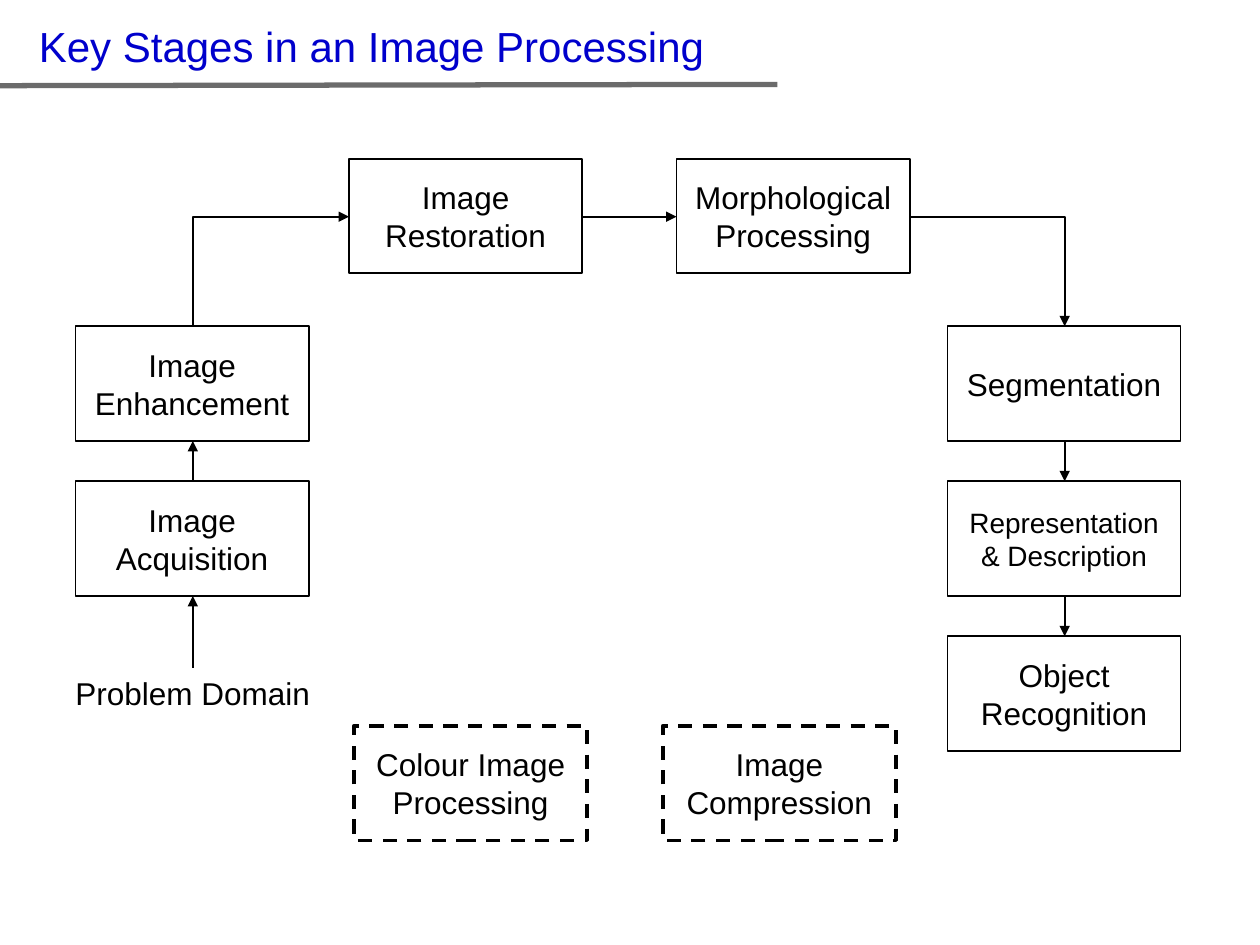
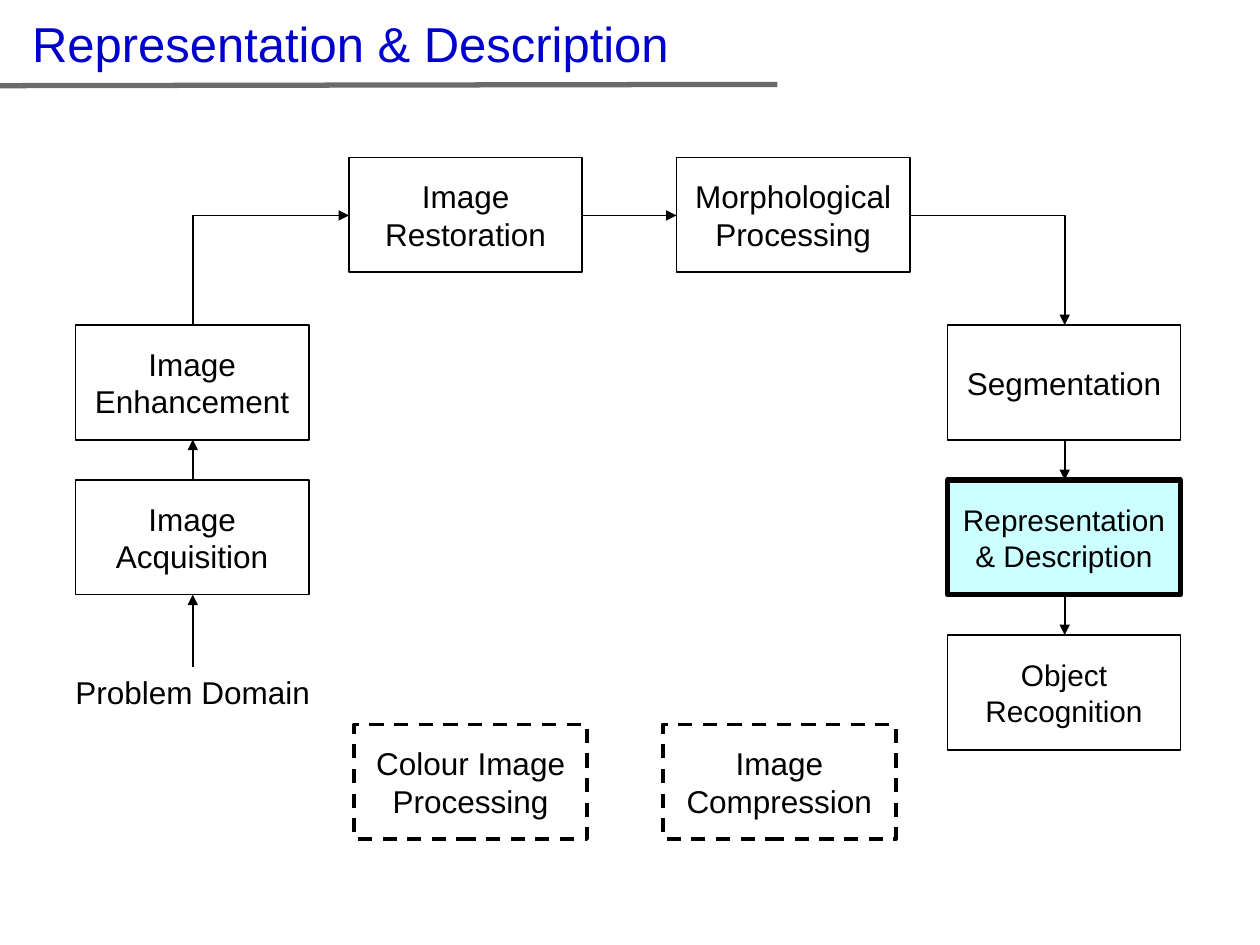
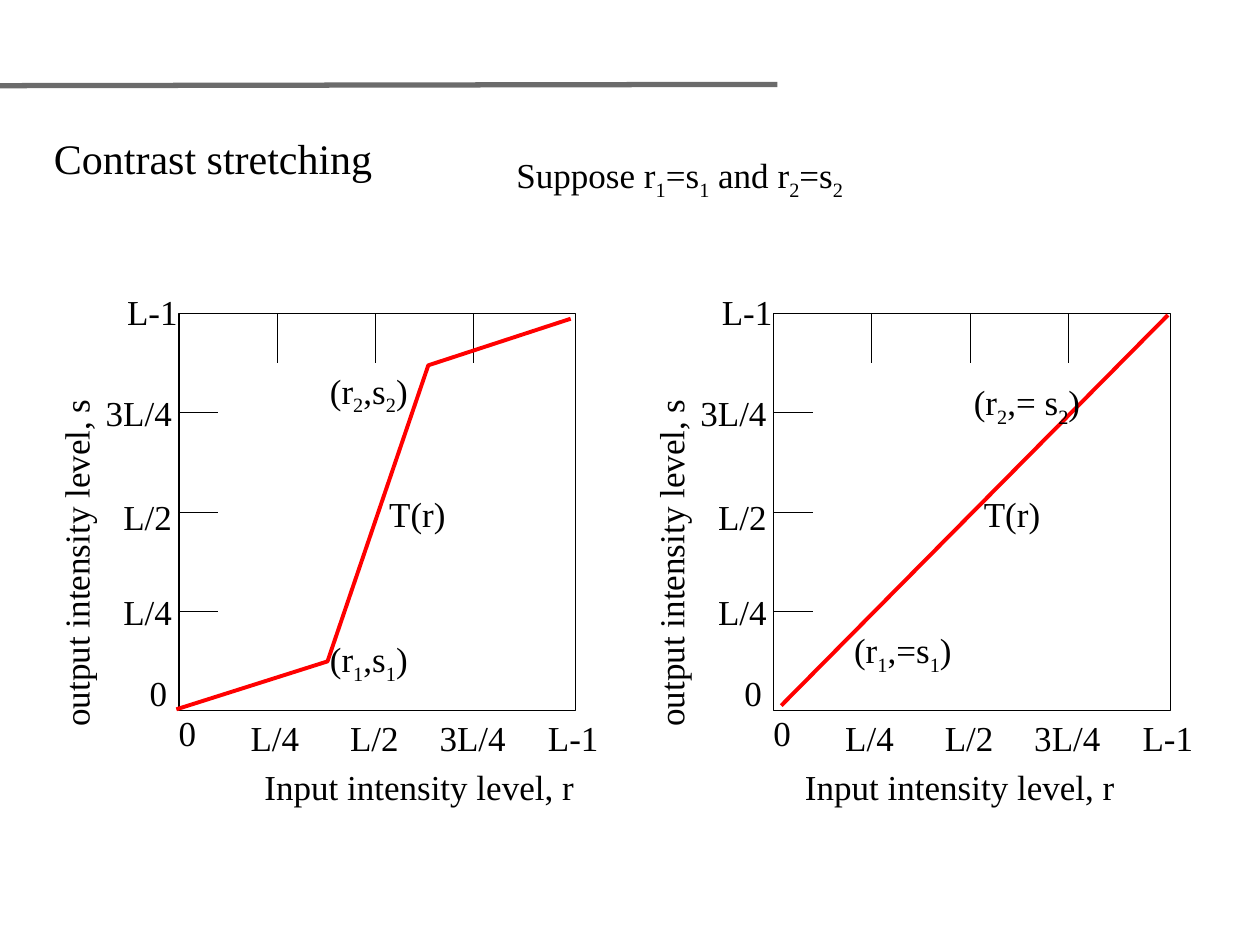
from pptx import Presentation
from pptx.dml.color import RGBColor
from pptx.enum.dml import MSO_LINE
from pptx.enum.shapes import MSO_CONNECTOR, MSO_SHAPE
from pptx.enum.text import MSO_ANCHOR, MSO_AUTO_SIZE, PP_ALIGN
from pptx.oxml.ns import qn
from pptx.util import Inches, Pt
from lxml.etree import SubElement

BLACK = RGBColor(0x00, 0x00, 0x00)
WHITE = RGBColor(0xFF, 0xFF, 0xFF)
TITLE_BLUE = RGBColor(0x00, 0x00, 0xCC)
RULE_GRAY = RGBColor(0x6B, 0x6B, 0x6B)
HIGHLIGHT = RGBColor(0xCC, 0xFF, 0xFF)
CURVE_RED = RGBColor(0xFF, 0x00, 0x00)
SANS = "Arial"
SERIF = "Times New Roman"

BOX_WIDTH, BOX_HEIGHT = 1.85, 0.91
LEFT_COLUMN, RIGHT_COLUMN = 0.6, 7.52
LEFT_AXIS, RIGHT_AXIS = 1.53, 8.45
PLOT_TOP, PLOT_SIZE = 2.49, 3.15
LABEL_HEIGHT = 0.44


class Sketch:
    def __init__(self):
        self.deck = Presentation()
        self.deck.slide_width = Inches(10)
        self.deck.slide_height = Inches(7.5)
        self.page = None

    def new_page(self):
        self.page = self.deck.slides.add_slide(self.deck.slide_layouts[6])
        self.line((-0.02, 0.68), (6.17, 0.67), RULE_GRAY, 3)

    def add_spans(self, para, text, size, font, color=BLACK):
        first, *rest = text.split("_")
        pieces = [(first, False)]
        for piece in rest:
            pieces += [(piece[0], True), (piece[1:], False)]
        for piece, lowered in pieces:
            if not piece:
                continue
            span = para.add_run()
            span.text = piece
            span.font.size = Pt(size)
            span.font.name = font
            span.font.color.rgb = color
            if lowered:
                span.font._element.set("baseline", "-25000")

    def text(self, left, top, width, height, text, size=20, font=SERIF, color=BLACK,
             align=PP_ALIGN.JUSTIFY, wrap=False, rotation=0):
        box = self.page.shapes.add_textbox(Inches(left), Inches(top), Inches(width), Inches(height))
        box.rotation = rotation
        box.text_frame.word_wrap = wrap
        box.text_frame.auto_size = MSO_AUTO_SIZE.SHAPE_TO_FIT_TEXT
        para = box.text_frame.paragraphs[0]
        para.alignment = align
        self.add_spans(para, text, size, font, color)

    def box(self, left, top, width, height, text="", size=18, fill=WHITE, weight=1, dash=None):
        box = self.page.shapes.add_shape(
            MSO_SHAPE.RECTANGLE, Inches(left), Inches(top), Inches(width), Inches(height))
        box.shadow.inherit = False
        box.fill.solid()
        box.fill.fore_color.rgb = fill
        box.line.color.rgb = BLACK
        box.line.width = Pt(weight)
        if dash:
            box.line.dash_style = dash
        box.text_frame.word_wrap = True
        box.text_frame.vertical_anchor = MSO_ANCHOR.MIDDLE
        para = box.text_frame.paragraphs[0]
        para.alignment = PP_ALIGN.CENTER
        if text:
            self.add_spans(para, text, size, SANS)

    def line(self, start, end, color=BLACK, weight=1, arrow=False, kind=MSO_CONNECTOR.STRAIGHT):
        connector = self.page.shapes.add_connector(
            kind, *(Inches(value) for value in (*start, *end)))
        connector.line.color.rgb = color
        connector.line.width = Pt(weight)
        properties = connector._element.spPr
        if arrow:
            SubElement(properties.find(qn("a:ln")), qn("a:tailEnd"), type="triangle")
        SubElement(properties, qn("a:effectLst"))
        return connector

    def arrow(self, start, end):
        self.line(start, end, arrow=True)

    def bent_arrow(self, start, end):
        rising = end[1] < start[1]
        if rising:
            middle_x, middle_y = (start[0] + end[0]) / 2, (start[1] + end[1]) / 2
            half_x, half_y = (end[0] - start[0]) / 2, (start[1] - end[1]) / 2
            start = middle_x - half_y, middle_y - half_x
            end = middle_x + half_y, middle_y + half_x
        connector = self.line(start, end, arrow=True, kind=MSO_CONNECTOR.ELBOW)
        properties = connector._element.spPr
        properties.find(qn("a:prstGeom")).set("prst", "bentConnector2")
        if rising:
            properties.find(qn("a:xfrm")).set("rot", str(270 * 60000))

    def curve(self, points):
        start, *rest = [(Inches(x), Inches(y)) for x, y in points]
        builder = self.page.shapes.build_freeform(*start)
        builder.add_line_segments(rest, close=False)
        curve = builder.convert_to_shape()
        curve.shadow.inherit = False
        curve.fill.background()
        curve.line.color.rgb = CURVE_RED
        curve.line.width = Pt(2.25)

    def stages(self, top, representation, recognition):
        upper, middle, lower = top + 1.33, top + 2.56, top + 3.79
        dashed = {"weight": 2, "dash": MSO_LINE.DASH}
        for left, box_top, text, style in [
            (LEFT_COLUMN, middle, "Image Acquisition", {}),
            (2.77, top, "Image Restoration", {}),
            (5.37, top, "Morphological Processing", {}),
            (RIGHT_COLUMN, upper, "Segmentation", {}),
            (RIGHT_COLUMN, lower, "Object Recognition", recognition),
            (LEFT_COLUMN, upper, "Image Enhancement", {}),
            (RIGHT_COLUMN, middle, "Representation & Description", representation),
            (2.81, top + 4.5, "Colour Image Processing", dashed),
            (5.26, top + 4.5, "Image Compression", dashed),
        ]:
            self.box(left, box_top, BOX_WIDTH, BOX_HEIGHT, text, **style)
        self.text(0.5, top + 4.04, 2.06, 0.4, "Problem Domain", 18, SANS, align=PP_ALIGN.LEFT)

        center = top + 0.46
        self.arrow((LEFT_AXIS, top + 4.04), (LEFT_AXIS, middle + BOX_HEIGHT))
        self.arrow((LEFT_AXIS, middle), (LEFT_AXIS, upper + BOX_HEIGHT))
        self.bent_arrow((LEFT_AXIS, upper), (2.77, center))
        self.arrow((4.62, center), (5.37, center))
        self.bent_arrow((7.23, center), (RIGHT_AXIS, upper))
        self.arrow((RIGHT_AXIS, upper + BOX_HEIGHT), (RIGHT_AXIS, middle))
        self.arrow((RIGHT_AXIS, middle + BOX_HEIGHT), (RIGHT_AXIS, lower))

    def plot(self, left, caption_left, points, marks):
        bottom = PLOT_TOP + PLOT_SIZE
        self.box(left, PLOT_TOP, PLOT_SIZE, PLOT_SIZE, weight=0.75)
        for step in range(1, 4):
            y = bottom - step * PLOT_SIZE / 4
            x = left + step * 0.78
            self.line((left, y), (left + 0.31, y), weight=0.5)
            self.line((x, PLOT_TOP), (x, PLOT_TOP + 0.39), weight=0.5)
        for text, width, side, side_top, below, below_top in [
            ("0", 0.36, -0.33, 5.28, -0.1, 5.6),
            ("L/4", 0.59, -0.54, 4.64, 0.47, 5.64),
            ("L/2", 0.59, -0.54, 3.88, 1.26, 5.64),
            ("3L/4", 0.75, -0.68, 3.06, 1.97, 5.64),
            ("L-1", 0.61, -0.51, 2.26, 2.83, 5.64),
        ]:
            self.text(left + side, side_top, width, LABEL_HEIGHT, text)
            self.text(left + below, below_top, width, LABEL_HEIGHT, text)
        self.text(caption_left, 6.03, 2.99, LABEL_HEIGHT, "Input intensity level, r")
        self.text(left - 2.41, 4.05, 3.19, LABEL_HEIGHT, "output intensity level, s", rotation=270)
        if len(points) == 2:
            self.line(*points, CURVE_RED, 2.25)
        else:
            self.curve(points)
        for mark_left, mark_top, width, text in marks:
            self.text(mark_left, mark_top, width, LABEL_HEIGHT, text)
        self.text(left + 1.57, 3.86, 0.65, LABEL_HEIGHT, "T(r)")


def main():
    sketch = Sketch()

    sketch.new_page()
    sketch.stages(1.26, {"size": 16}, {})
    sketch.text(0.21, 0.11, 9.58, 0.5, "Key Stages in an Image Processing", 24, SANS,
                TITLE_BLUE, PP_ALIGN.LEFT, wrap=True)

    sketch.new_page()
    sketch.stages(1.25, {"size": 17, "fill": HIGHLIGHT, "weight": 3}, {"size": 17})
    sketch.text(0.12, 0.06, 5.32, 0.57, "Representation & Description", 28, SANS,
                TITLE_BLUE, PP_ALIGN.CENTER)

    sketch.new_page()
    sketch.plot(1.42, 2, [(1.4, 5.63), (2.6, 5.25), (3.4, 2.9), (4.53, 2.53)],
                [(2.52, 5.01, 0.9, "(r_1,s_1)"), (2.52, 2.88, 0.9, "(r_2,s_2)")])
    sketch.text(0.33, 1, 3.12, 0.5, "Contrast stretching", 24)
    sketch.text(4, 1.17, 3.27, LABEL_HEIGHT, "Suppose r_1=s_1 and r_2=s_2")
    sketch.plot(6.14, 6.29, [(6.2, 5.6), (9.27, 2.5)],
                [(6.68, 4.94, 1.07, "(r_1,=s_1)"), (7.63, 2.97, 1.15, "(r_2,= s_2)")])

    sketch.deck.save("out.pptx")


if __name__ == "__main__":
    main()
